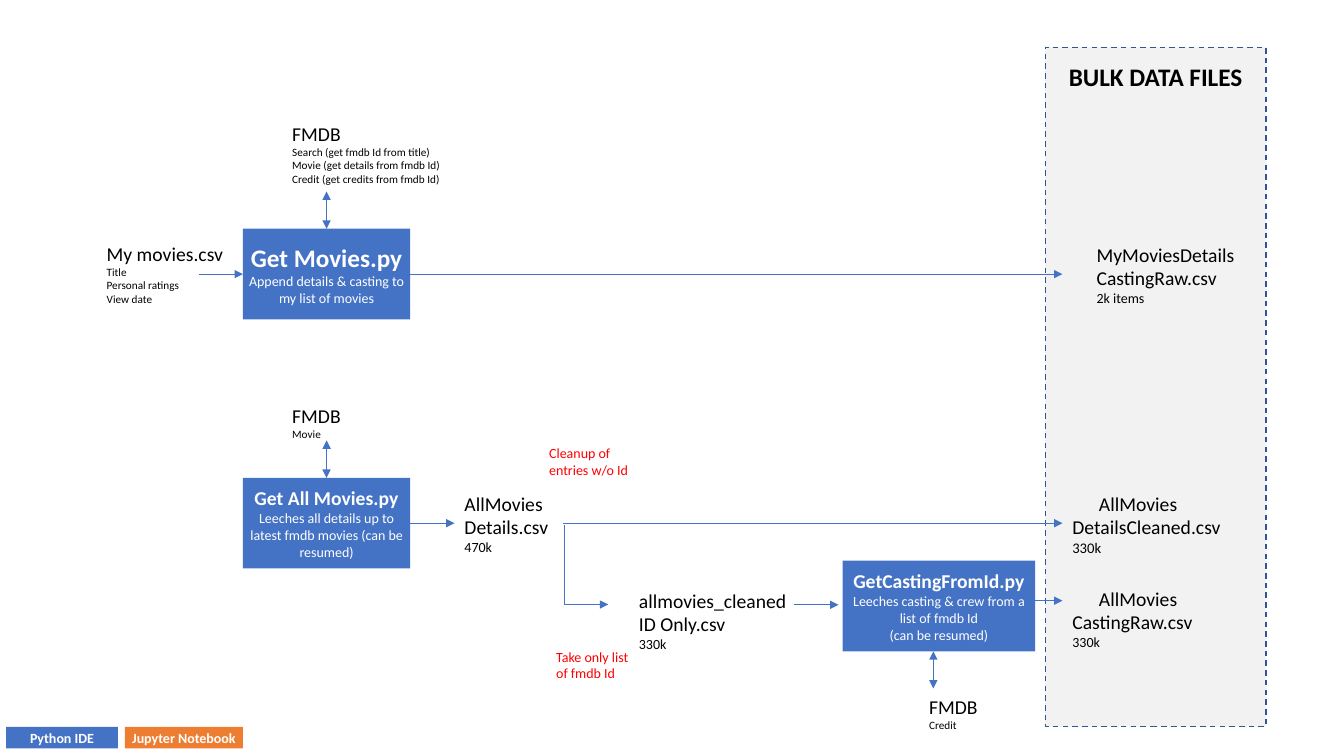
"""Build the movie data pipeline slide: scripts, intermediate files and bulk data files."""
from dataclasses import dataclass

import pptx
import pptx.dml.color
import pptx.enum.dml
import pptx.enum.shapes
import pptx.enum.text
import pptx.oxml.ns
import pptx.util
from lxml import etree

Pt = pptx.util.Pt
RGB = pptx.dml.color.RGBColor.from_string
ALIGN = pptx.enum.text.PP_ALIGN
SHAPES = pptx.enum.shapes.MSO_SHAPE
CONNECTORS = pptx.enum.shapes.MSO_CONNECTOR
qn = pptx.oxml.ns.qn


@dataclass(frozen=True)
class Theme:
    """Colours, font and type sizes of the slide."""
    font: str = "Calibri"
    blue: str = "4472C4"
    orange: str = "ED7D31"
    panel: str = "F2F2F2"
    panel_line: str = "325491"
    black: str = "000000"
    white: str = "FFFFFF"
    red: str = "FF0000"
    title: float = 18
    name: float = 14
    count: float = 10.5
    body: float = 10
    small: float = 8


theme = Theme()


def write(shape, lines, color, align=ALIGN.LEFT, bold_first=False):
    """Fill a shape with (text, size) lines in one colour."""
    frame = shape.text_frame
    frame.text = "\n".join(text for text, size in lines)
    for index, (para, (text, size)) in enumerate(zip(frame.paragraphs, lines)):
        para.alignment = align
        for span in para.runs:
            span.font.name = theme.font
            span.font.size = Pt(size)
            span.font.bold = bold_first and index == 0
            span.font.color.rgb = RGB(color)


def connect(kind, start, end, ends=("tailEnd",)):
    """Draw a thin blue connector with triangle arrowheads."""
    link = page.shapes.add_connector(kind, *map(Pt, start + end))
    link.line.color.rgb = RGB(theme.blue)
    link.line.width = Pt(0.5)
    outline = link.line._get_or_add_ln()
    for name in ends:
        etree.SubElement(outline, qn("a:" + name), type="triangle")
    etree.SubElement(link._element.spPr, qn("a:effectLst"))
    return link


deck = pptx.Presentation()
deck.slide_width, deck.slide_height = Pt(960), Pt(540)
page = deck.slides.add_slide(deck.slide_layouts[6])

panel = page.shapes.add_shape(SHAPES.RECTANGLE, Pt(746.6), Pt(33.8), Pt(157.7), Pt(485.3))
panel.shadow.inherit = False
panel.fill.solid()
panel.fill.fore_color.rgb = RGB(theme.panel)
panel.line.color.rgb = RGB(theme.panel_line)
panel.line.width = Pt(1)
panel.line.dash_style = pptx.enum.dml.MSO_LINE.DASH

blocks = [
    (173.5, 163.4, 119.5, 64.8, theme.blue,
     [("Get Movies.py", theme.title),
      ("Append details & casting to my list of movies", theme.body)]),
    (173.5, 341.3, 119.5, 64.8, theme.blue,
     [("Get All Movies.py", theme.name),
      ("Leeches all details up to latest fmdb movies (can be resumed)", theme.body)]),
    (601.9, 400.5, 137.5, 64.8, theme.blue,
     [("GetCastingFromId.py", theme.name),
      ("Leeches casting & crew from a list of fmdb Id", theme.body),
      ("(can be resumed)", theme.body)]),
    (4.3, 519.1, 79.9, 15.4, theme.blue, [("Python IDE", theme.body)]),
    (89.3, 519.1, 84.2, 15.4, theme.orange, [("Jupyter Notebook", theme.body)]),
]
boxes = []
for left, top, width, height, fill, lines in blocks:
    box = page.shapes.add_shape(SHAPES.RECTANGLE, Pt(left), Pt(top), Pt(width), Pt(height))
    box.shadow.inherit = False
    box.fill.solid()
    box.fill.fore_color.rgb = RGB(fill)
    box.line.fill.background()
    frame = box.text_frame
    frame.word_wrap = True
    frame.vertical_anchor = pptx.enum.text.MSO_ANCHOR.MIDDLE
    frame.margin_left = frame.margin_right = Pt(2.8)
    frame.margin_top = frame.margin_bottom = Pt(3.6)
    write(box, lines, theme.white, ALIGN.CENTER, bold_first=True)
    boxes.append(box)
get_movies, get_all_movies = boxes[:2]

labels = [
    (69.1, 169.2, 101.5, 53.3, True, theme.black,
     [("My movies.csv", theme.name), ("Title", theme.small),
      ("Personal ratings", theme.small), ("View date", theme.small)]),
    (201.6, 83.5, 145.4, 53.3, True, theme.black,
     [("FMDB", theme.name), ("Search (get fmdb Id from title)", theme.small),
      ("Movie (get details from fmdb Id)", theme.small),
      ("Credit (get credits from fmdb Id)", theme.small)]),
    (201.6, 285.1, 79.9, 33.8, True, theme.black,
     [("FMDB", theme.name), ("Movie", theme.small)]),
    (656.6, 492.5, 145.4, 33.8, True, theme.black,
     [("FMDB", theme.name), ("Credit", theme.small)]),
    (385.2, 313.9, 72.7, 31.7, True, theme.red, [("Cleanup of entries w/o Id", theme.body)]),
    (390.2, 459.4, 72.7, 31.7, True, theme.red, [("Take only list of fmdb Id", theme.body)]),
    (776.2, 169.9, 114.5, 53.3, False, theme.black,
     [("MyMoviesDetails", theme.name), ("CastingRaw.csv", theme.name),
      ("2k items", theme.body)]),
    (324.7, 347.8, 74.9, 53.3, False, theme.black,
     [("AllMovies", theme.name), ("Details.csv", theme.name), ("470k", theme.body)]),
    (449.3, 416.9, 123.8, 53.3, False, theme.black,
     [("allmovies_cleaned", theme.name), ("ID Only.csv", theme.name), ("330k", theme.body)]),
]
bulk_labels = [
    (758.9, 347.8, 121.7, 55.4, False, theme.black,
     [("AllMovies", theme.name), ("DetailsCleaned.csv", theme.name), ("330k", theme.count)]),
    (758.9, 415.4, 101.5, 53.3, False, theme.black,
     [("AllMovies", theme.name), ("CastingRaw.csv", theme.name), ("330k", theme.body)]),
]
for label in labels + bulk_labels:
    left, top, width, height, wrap, color, lines = label
    box = page.shapes.add_textbox(Pt(left), Pt(top), Pt(width), Pt(height))
    box.text_frame.word_wrap = wrap
    box.text_frame.auto_size = pptx.enum.text.MSO_AUTO_SIZE.SHAPE_TO_FIT_TEXT
    write(box, lines, color)
    if label in bulk_labels:
        first = box.text_frame.paragraphs[0]
        first._p.get_or_add_pPr().set("marL", str(Pt(19)))

heading = page.shapes.add_textbox(Pt(746.6), Pt(40.3), Pt(157.7), Pt(28.8))
heading.text_frame.word_wrap = True
write(heading, [("BULK DATA FILES", theme.title)], theme.black, ALIGN.CENTER, bold_first=True)

straight = CONNECTORS.STRAIGHT
both = ("headEnd", "tailEnd")
connect(straight, (141.8, 195.8), (173.5, 195.8)).end_connect(get_movies, 1)
connect(straight, (293, 195.8), (758.9, 195.8)).begin_connect(get_movies, 3)
connect(straight, (293, 373.7), (324.7, 373.7)).begin_connect(get_all_movies, 3)
connect(straight, (233.3, 163.4), (233.3, 136.8), both).begin_connect(get_movies, 0)
connect(straight, (233.3, 341.3), (233.3, 314.6), both).begin_connect(get_all_movies, 0)
connect(straight, (666.7, 491.8), (666.7, 465.3), both)
for left, right, middle in [(402.5, 758.9, 373.7), (567.4, 599, 432), (739.4, 758.9, 429.1)]:
    connect(straight, (left, middle), (right, middle))

branch = connect(CONNECTORS.ELBOW, (390.2, 387.4), (447.1, 419.1))
transform = branch._element.spPr.find(qn("a:xfrm"))
transform.set("rot", "16200000")
transform.set("flipH", "1")
geometry = branch._element.spPr.find(qn("a:prstGeom"))
adjustments = geometry.find(qn("a:avLst"))
etree.SubElement(adjustments, qn("a:gd"), name="adj1", fmla="val 100200")

deck.save("out.pptx")
